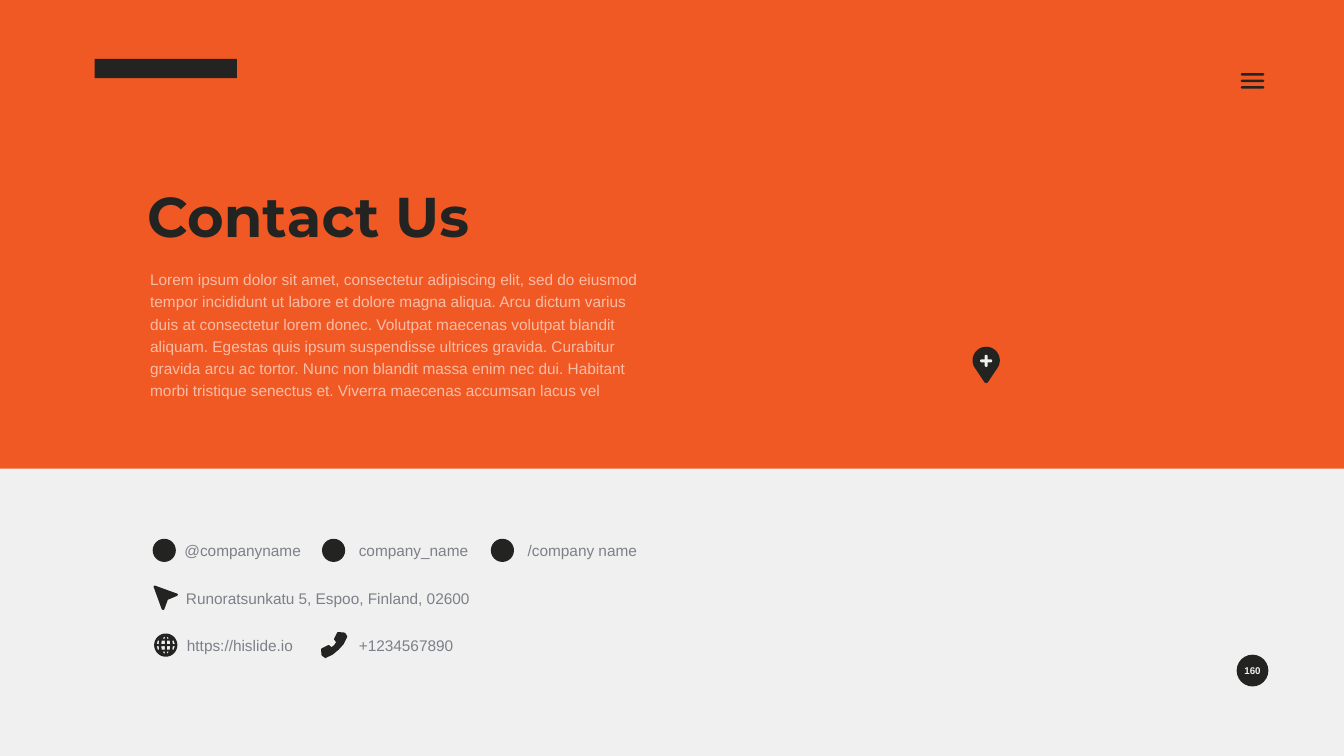
from dataclasses import dataclass
from itertools import product
from math import cos, radians, sin

from lxml.etree import SubElement
from pptx import Presentation
from pptx.dml.color import RGBColor
from pptx.enum.shapes import MSO_SHAPE as Preset
from pptx.enum.text import MSO_ANCHOR as Anchor, MSO_AUTO_SIZE as AutoSize, PP_ALIGN as Align
from pptx.oxml.ns import qn
from pptx.util import Inches, Pt

Contour = list[tuple[float, float]]


@dataclass(frozen=True)
class Theme:
    dark: str = "232422"
    orange: str = "F15924"
    paper: str = "EFF0EF"
    peach: str = "F9BDA7"
    grey: str = "7E8089"
    number: str = "F0F0F0"
    heading: str = "Montserrat"
    text: str = "Arial"
    title_size: int = 80
    body_size: int = 22
    number_size: int = 14


@dataclass(frozen=True)
class Contact:
    text: str
    left: float
    row: int
    width: float = 2.58


THEME = Theme()
FIRST_ROW, ROW_PITCH = 10.62, 0.94

CONTACTS = [
    Contact("@companyname", 3.61, 0),
    Contact("company_name", 7.07, 0),
    Contact("/company name", 10.42, 0),
    Contact("Runoratsunkatu 5, Espoo, Finland, 02600", 3.64, 1, 6.95),
    Contact("https://hislide.io", 3.66, 2),
    Contact("+1234567890", 7.07, 2),
]
SOCIAL_LEFTS = (3.03, 6.39, 9.74)

COMPASS = [(3.23, 12.1), (3.21, 12.09), (3.05, 11.65), (3.05, 11.63), (3.06, 11.62),
           (3.08, 11.62), (3.52, 11.78), (3.53, 11.8), (3.52, 11.82), (3.33, 11.9),
           (3.26, 12.09), (3.25, 12.1)]
HANDSET = [(6.46, 13.06), (6.4, 13.02), (6.38, 13), (6.37, 12.88), (6.39, 12.86),
           (6.51, 12.8), (6.53, 12.8), (6.58, 12.84), (6.63, 12.8), (6.67, 12.74),
           (6.63, 12.69), (6.63, 12.67), (6.69, 12.55), (6.71, 12.54), (6.83, 12.55),
           (6.85, 12.56), (6.89, 12.62), (6.89, 12.64), (6.82, 12.78), (6.72, 12.89),
           (6.6, 12.99), (6.47, 13.05)]
# Openings in one quarter of the globe, measured from its centre
GLOBE_WINDOWS = [
    [(0.02, 0.02), (0.09, 0.02), (0.08, 0.09), (0.02, 0.09)],
    [(0.14, 0.02), (0.18, 0.02), (0.16, 0.09), (0.13, 0.09)],
    [(0.02, 0.13), (0.06, 0.13), (0.04, 0.16), (0.02, 0.17)],
    [(0.11, 0.13), (0.12, 0.13), (0.1, 0.15)],
]
# One arm of the plus, measured from its centre
PLUS_ARM = [(0.03, -0.03), (0.1, -0.03), (0.12, -0.01), (0.12, 0.01), (0.1, 0.03)]


def paint(shape, fill: str) -> None:
    shape.shadow.inherit = False
    shape.fill.solid()
    shape.fill.fore_color.rgb = RGBColor.from_string(fill)
    shape.line.fill.background()


def add_preset(slide, preset, left: float, top: float, width: float, height: float,
               fill: str):
    shape = slide.shapes.add_shape(preset, Inches(left), Inches(top),
                                   Inches(width), Inches(height))
    paint(shape, fill)
    return shape


def add_outline(slide, contours: list[Contour], fill: str) -> None:
    """One filled shape; a contour inside another becomes a hole."""
    builder = None
    for contour in contours:
        start, *rest = [(Inches(x), Inches(y)) for x, y in contour]
        if builder is None:
            builder = slide.shapes.build_freeform(*start)
        else:
            builder.move_to(*start)
        builder.add_line_segments(rest, close=True)
    paint(builder.convert_to_shape(), fill)


def arc(x: float, y: float, radius: float, start: int, stop: int) -> Contour:
    return [(x + radius * cos(radians(a)), y + radius * sin(radians(a)))
            for a in range(start, stop, 5)]


def write(shape, text: str, *, color: str, size: int = THEME.body_size,
          font: str = THEME.text, bold: bool = False, align=Align.LEFT,
          spacing: float = 1.0, inset: float = 0.05, plain_list: bool = False) -> None:
    frame = shape.text_frame
    frame.word_wrap = True
    frame.auto_size = AutoSize.SHAPE_TO_FIT_TEXT
    frame.vertical_anchor = Anchor.TOP
    frame.margin_left = frame.margin_right = Inches(inset)
    frame.margin_top = frame.margin_bottom = Inches(inset)
    paragraph = frame.paragraphs[0]
    paragraph.alignment = align
    paragraph.line_spacing = spacing
    paragraph.space_before = Pt(0)
    if plain_list:
        properties = paragraph._p.get_or_add_pPr()
        properties.set("marL", "0")
        properties.set("indent", "0")
        SubElement(properties, qn("a:buNone"))
    run = paragraph.add_run()
    run.text = text
    run.font.name, run.font.size, run.font.bold = font, Pt(size), bold
    run.font.color.rgb = RGBColor.from_string(color)


def add_text(slide, text: str, left: float, top: float, width: float, height: float,
             **style) -> None:
    box = slide.shapes.add_textbox(Inches(left), Inches(top), Inches(width), Inches(height))
    write(box, text, **style)


def place(shape, left: float, top: float, width: float, height: float) -> None:
    shape.left, shape.top = Inches(left), Inches(top)
    shape.width, shape.height = Inches(width), Inches(height)


def add_menu(slide, left: float, top: float, width: float) -> None:
    """Three bars with bevelled ends."""
    right, bevel, thickness, pitch = left + width, 0.02, 0.05, 0.13
    bars = []
    for bar_top in (top + i * pitch for i in range(3)):
        bottom, middle = bar_top + thickness, bar_top + thickness / 2
        bars.append([(left + bevel, bar_top), (right - bevel, bar_top), (right, middle),
                     (right - bevel, bottom), (left + bevel, bottom), (left, middle)])
    add_outline(slide, bars, THEME.dark)


def add_globe(slide, x: float, y: float) -> None:
    """Disc with the openings of one quarter mirrored into all four."""
    windows = [[(x + side * dx, y + half * dy) for dx, dy in window]
               for side, half, window in product((-1, 1), (-1, 1), GLOBE_WINDOWS)]
    add_outline(slide, [arc(x, y, 0.23, 0, 360), *windows], THEME.dark)


def add_pin(slide, x: float, y: float, radius: float) -> None:
    """Map pin: a round head tapering to a tip, with a plus inside."""
    tip = [(x + 0.03, 7.59), (x, 7.6), (x - 0.03, 7.59)]
    add_outline(slide, [arc(x, y, radius, 145, 396) + tip], THEME.dark)
    plus, arm = [], PLUS_ARM
    for _ in range(4):
        plus += [(x + dx, y + 0.01 + dy) for dx, dy in arm]
        arm = [(-dy, dx) for dx, dy in arm]
    add_outline(slide, [plus], THEME.paper)


def main() -> None:
    deck = Presentation()
    deck.slide_width, deck.slide_height = Inches(26.67), Inches(15)
    slide = deck.slides.add_slide(deck.slide_layouts[1])
    slide.background.fill.solid()
    slide.background.fill.fore_color.rgb = RGBColor.from_string(THEME.paper)

    # Orange band, kept behind the title and body
    title, body = slide.placeholders
    band = add_preset(slide, Preset.RECTANGLE, -0.01, -0.01, 26.69, 9.31, THEME.orange)
    title.element.addprevious(band.element)

    # Title and introduction
    place(title, 2.87, 3.55, 8.28, 1.46)
    write(title, "Contact Us", color=THEME.dark, size=THEME.title_size,
          font=THEME.heading, bold=True)
    place(body, 2.93, 5.24, 9.96, 2.74)
    write(body, "Lorem ipsum dolor sit amet, consectetur adipiscing elit, sed do eiusmod "
          "tempor incididunt ut labore et dolore magna aliqua. Arcu dictum varius duis at "
          "consectetur lorem donec. Volutpat maecenas volutpat blandit aliquam. Egestas quis "
          "ipsum suspendisse ultrices gravida. Curabitur gravida arcu ac tortor. Nunc non "
          "blandit massa enim nec dui. Habitant morbi tristique senectus et. Viverra maecenas "
          "accumsan lacus vel", color=THEME.peach, spacing=1.2, plain_list=True)

    # Header: brand block and menu
    add_preset(slide, Preset.RECTANGLE, 1.88, 1.17, 2.82, 0.38, THEME.dark)
    add_menu(slide, 24.62, 1.45, 0.47)

    # Contact details and their icons
    for contact in CONTACTS:
        add_text(slide, contact.text, contact.left, FIRST_ROW + contact.row * ROW_PITCH,
                 contact.width, 0.52, color=THEME.grey, spacing=1.2)
    for left in SOCIAL_LEFTS:
        add_preset(slide, Preset.OVAL, left, 10.69, 0.46, 0.46, THEME.dark)
    add_outline(slide, [COMPASS], THEME.dark)
    add_globe(slide, 3.29, 12.8)
    add_outline(slide, [HANDSET], THEME.dark)

    # Map pin
    add_pin(slide, 19.57, 7.15, 0.27)

    # Page number
    add_preset(slide, Preset.OVAL, 24.54, 12.99, 0.63, 0.63, THEME.dark)
    add_text(slide, "160", 24.54, 13.13, 0.63, 0.33, color=THEME.number,
             size=THEME.number_size, bold=True, align=Align.CENTER)

    deck.save("out.pptx")


if __name__ == "__main__":
    main()
